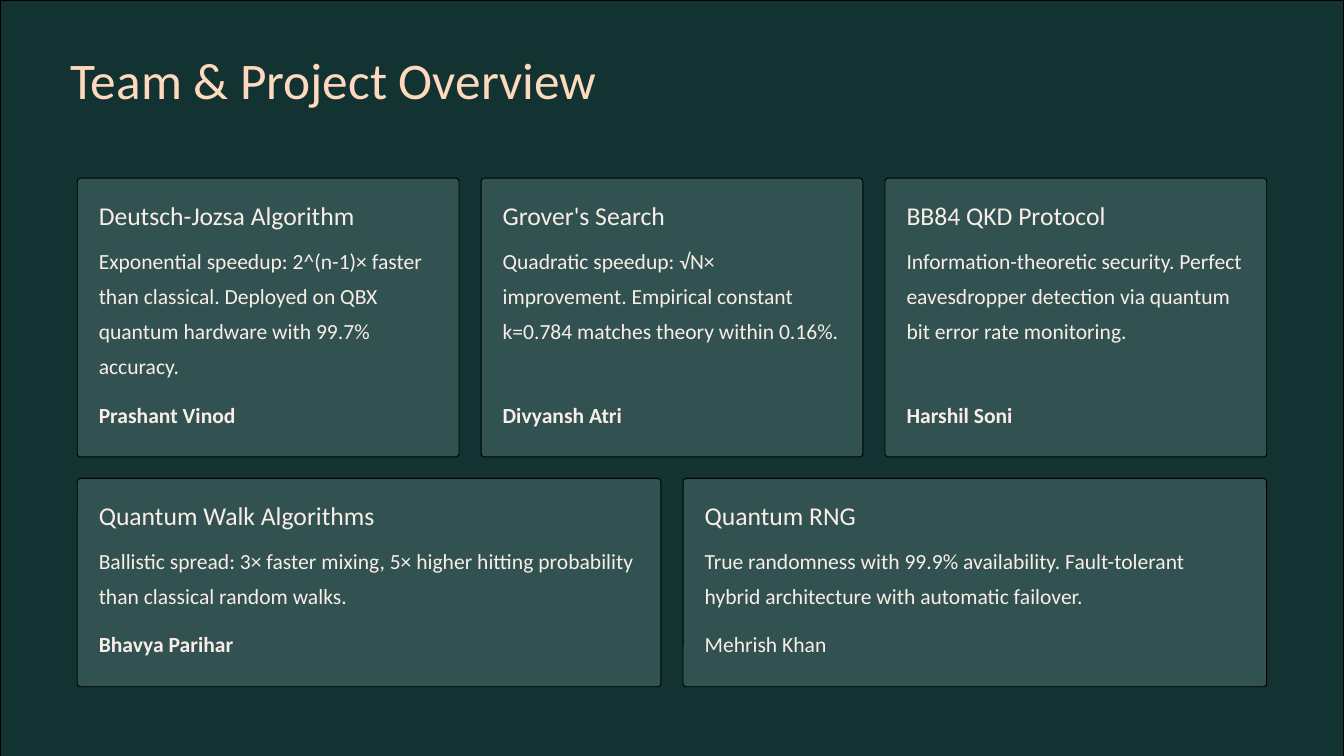
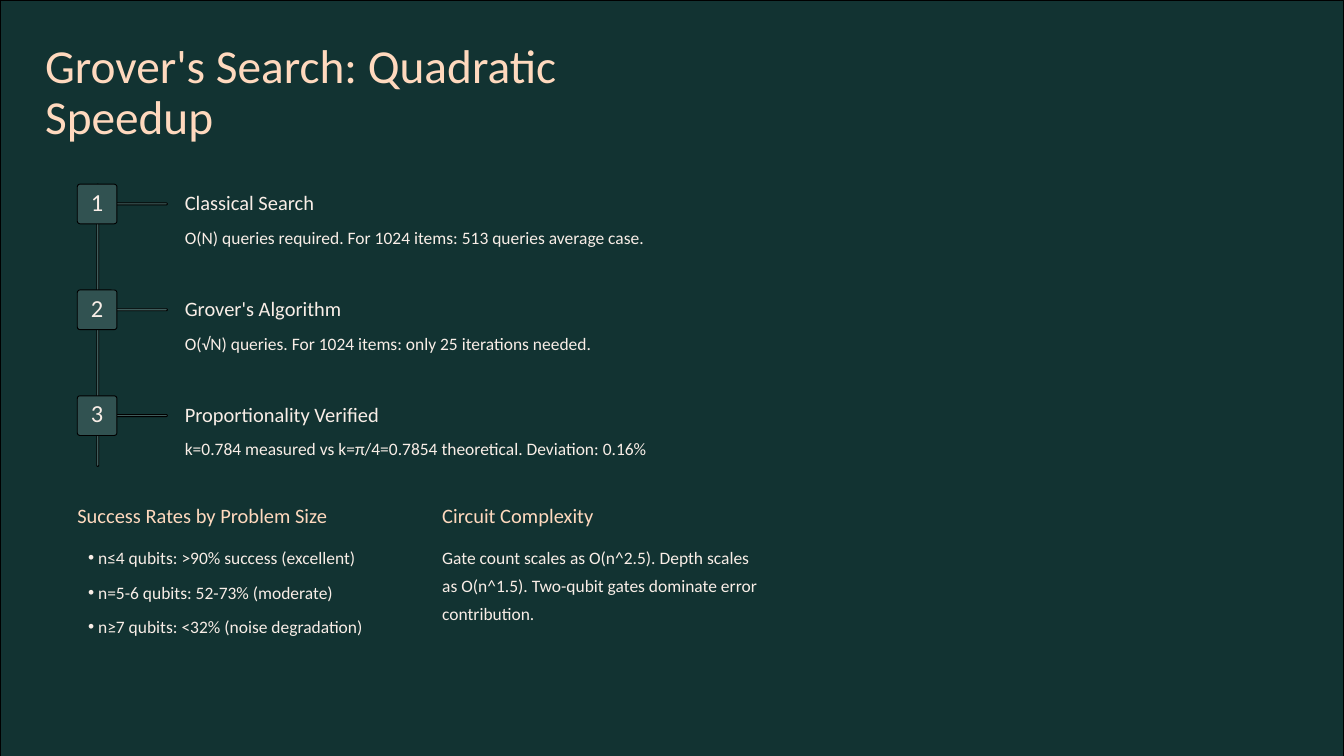
from lxml import etree
from pptx import Presentation
from pptx import util as u
from pptx.dml.color import RGBColor
from pptx.enum import shapes, text
from pptx.oxml import ns

FONT = "Calibri"
BACKDROP = RGBColor(0x12, 0x33, 0x32)
PANEL = RGBColor(0x31, 0x52, 0x51)
RAIL = RGBColor(0x4A, 0x6B, 0x6A)
OUTLINE = RGBColor(0, 0, 0)
PEACH = RGBColor(0xFF, 0xD9, 0xBE)
CREAM = RGBColor(0xF9, 0xEE, 0xE7)

# Text styles: size, line spacing, colour
CARD_HEAD = (27.5, 34.4, CREAM)
CARD_BODY = (23.1, 37.5, CREAM)
STEP_NUMBER = (26.2, 26.2, CREAM)
STEP_HEAD = (21.9, 27.5, CREAM)
SECTION_HEAD = (21.9, 27.5, PEACH)
SMALL_BODY = (18.7, 30, CREAM)


def panel(slide, left, top, width, height, fill, radius=0):
    kind = shapes.MSO_SHAPE.ROUNDED_RECTANGLE if radius else shapes.MSO_SHAPE.RECTANGLE
    box = slide.shapes.add_shape(kind, *map(u.Inches, (left, top, width, height)))
    if radius:
        box.adjustments[0] = min(0.5, radius / min(width, height))
    box.shadow.inherit = False
    box.fill.solid()
    box.fill.fore_color.rgb = fill
    box.line.color.rgb = OUTLINE
    box.line.width = u.Pt(1)
    return box


def write(holder, words, style, place=None, bold=False,
          align=text.PP_ALIGN.LEFT, anchor=text.MSO_ANCHOR.TOP):
    """Fill a placeholder or shape, or a new text box when holder is a slide."""
    if hasattr(holder, "shapes"):
        holder = holder.shapes.add_textbox(*map(u.Inches, place))
    elif place:
        holder.left, holder.top, holder.width, holder.height = map(u.Inches, place)
    size, spacing, colour = style
    frame = holder.text_frame
    frame.text = words
    frame.word_wrap = True
    frame.auto_size = text.MSO_AUTO_SIZE.NONE
    frame.vertical_anchor = anchor
    frame.margin_left = frame.margin_right = frame.margin_top = frame.margin_bottom = 0
    for paragraph in frame.paragraphs:
        paragraph.alignment = align
        paragraph.line_spacing = u.Pt(spacing)
        paragraph.space_before = paragraph.space_after = u.Pt(0)
        for run in paragraph.runs:
            run.font.name = FONT
            run.font.size = u.Pt(size)
            run.font.bold = bold
            run.font.color.rgb = colour
    return frame


deck = Presentation()
deck.slide_width = u.Inches(20)
deck.slide_height = u.Inches(11.25)

# Backdrop and title on both slides
overview = deck.slides.add_slide(deck.slide_layouts[5])
grover = deck.slides.add_slide(deck.slide_layouts[1])
for slide, title, style, place in [
    (overview, "Team & Project Overview", (55, 68.8, PEACH), (1.05, 0.68, 8.79, 0.99)),
    (grover, "Grover's Search: Quadratic Speedup", (50.7, 55, PEACH), (0.67, 0.62, 9.88, 1.55)),
]:
    slide.background.fill.solid()
    slide.background.fill.fore_color.rgb = OUTLINE
    backdrop = panel(slide, 0, 0, 20, 11.25, BACKDROP)
    slide.shapes.title.element.addprevious(backdrop.element)
    write(slide.shapes.title, title, style, place)

# Overview: rows of project cards (heading, summary, owner, owner in bold)
LEFT, CARDS_WIDTH, GAP, INSET = 1.15, 17.7, 0.33, 0.32
card_rows = [
    (2.65, 4.15, [
        ("Deutsch-Jozsa Algorithm",
         "Exponential speedup: 2^(n-1)× faster than classical. Deployed on QBX "
         "quantum hardware with 99.7% accuracy.", "Prashant Vinod", True),
        ("Grover's Search",
         "Quadratic speedup: √N× improvement. Empirical constant k=0.784 "
         "matches theory within 0.16%.", "Divyansh Atri", True),
        ("BB84 QKD Protocol",
         "Information-theoretic security. Perfect eavesdropper detection via "
         "quantum bit error rate monitoring.", "Harshil Soni", True),
    ]),
    (7.12, 3.1, [
        ("Quantum Walk Algorithms",
         "Ballistic spread: 3× faster mixing, 5× higher hitting probability "
         "than classical random walks.", "Bhavya Parihar", True),
        ("Quantum RNG",
         "True randomness with 99.9% availability. Fault-tolerant hybrid "
         "architecture with automatic failover.", "Mehrish Khan", False),
    ]),
]
for top, height, cards in card_rows:
    width = (CARDS_WIDTH - GAP * (len(cards) - 1)) / len(cards)
    for column, (heading, summary, owner, owner_bold) in enumerate(cards):
        left = LEFT + column * (width + GAP)
        panel(overview, left, top, width, height, PANEL, 0.05)
        inner_left, inner_width = left + INSET, width - 2 * INSET
        write(overview, heading, CARD_HEAD, (inner_left, top + 0.3, inner_width, 0.5))
        write(overview, summary, CARD_BODY,
              (inner_left, top + 0.9, inner_width, height - 1.95))
        write(overview, owner, CARD_BODY,
              (inner_left, top + height - 0.96, inner_width, 0.63), bold=owner_bold)

# Grover: numbered steps along a vertical rail
STEP_TOP, STEP_PITCH, BADGE = 2.74, 1.575, 0.59
steps = [
    ("Classical Search",
     "O(N) queries required. For 1024 items: 513 queries average case."),
    ("Grover's Algorithm",
     "O(√N) queries. For 1024 items: only 25 iterations needed."),
    ("Proportionality Verified",
     "k=0.784 measured vs k=π/4=0.7854 theoretical. Deviation: 0.16%"),
]
panel(grover, 1.44, STEP_TOP, 0.03, 4.2, RAIL, 0.02)
for index, (heading, detail) in enumerate(steps):
    top = STEP_TOP + index * STEP_PITCH
    panel(grover, 1.7, top + 0.28, 0.79, 0.03, RAIL, 0.02)
    badge = panel(grover, LEFT, top, BADGE, BADGE, PANEL, 0.04)
    write(badge, str(index + 1), STEP_NUMBER,
          align=text.PP_ALIGN.CENTER, anchor=text.MSO_ANCHOR.MIDDLE)
    write(grover, heading, STEP_HEAD, (2.75, top + 0.07, 3.24, 0.41))
    write(grover, detail, SMALL_BODY, (2.75, top + 0.53, 8.61, 0.52))

# Grover: success rates as a bulleted list
write(grover, "Success Rates by Problem Size", SECTION_HEAD, (LEFT, 7.47, 4.22, 0.41))
rates = write(
    grover.placeholders[1],
    "n≤4 qubits: >90% success (excellent)\n"
    "n=5-6 qubits: 52-73% (moderate)\n"
    "n≥7 qubits: <32% (noise degradation)",
    SMALL_BODY, (LEFT, 8.04, 4.79, 1.54))
for paragraph in rates.paragraphs:
    paragraph.space_after = u.Pt(6.8)
    properties = paragraph._p.get_or_add_pPr()
    properties.set("marL", str(u.Inches(0.31)))
    properties.set("indent", str(u.Inches(-0.15)))
    etree.SubElement(properties, ns.qn("a:buChar")).set("char", "•")

# Grover: circuit complexity
write(grover, "Circuit Complexity", SECTION_HEAD, (6.58, 7.47, 3.08, 0.41))
write(grover,
      "Gate count scales as O(n^2.5). Depth scales as O(n^1.5). "
      "Two-qubit gates dominate error contribution.",
      SMALL_BODY, (6.58, 8.04, 4.79, 1.36))

deck.save("out.pptx")
